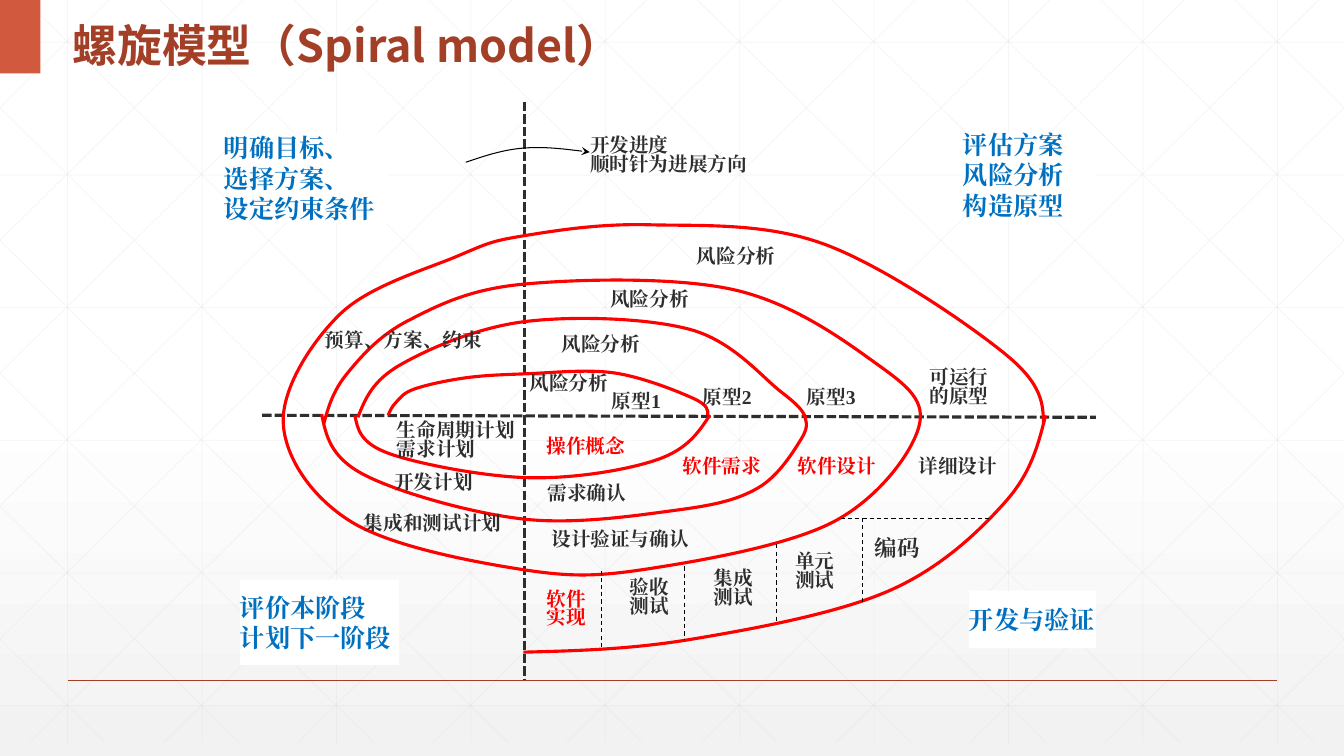
import lxml.etree
import pptx
import pptx.dml.color
import pptx.enum.dml
import pptx.enum.shapes
import pptx.enum.text
import pptx.oxml.ns
import pptx.util

Inches = pptx.util.Inches
ALIGN = pptx.enum.text.PP_ALIGN
DASH = pptx.enum.dml.MSO_LINE
qn = pptx.oxml.ns.qn

WIDTH, HEIGHT = 13.33, 7.5
BODY_FONT, TITLE_FONT = "Times New Roman", "Noto Sans CJK SC"
DARK, RED, BLUE, RUST = "2D2E2D", "FF0000", "0070C0", "A43F27"

# Points that each smooth turn of the spiral passes through
SPIRAL_TURNS = [
    [(3.85, 4.12), (3.93, 3.99), (4.11, 3.86), (4.61, 3.75), (5.2, 3.71), (6.09, 3.7),
     (6.87, 3.95), (7.02, 4.12)],
    [(7.04, 4.12), (6.52, 4.56), (5.25, 4.74), (3.86, 4.5), (3.52, 4.12)],
    [(3.55, 4.14), (3.97, 3.62), (5.21, 3.19), (6.85, 3.27), (7.75, 3.89), (7.99, 4.14)],
    [(7.97, 4.11), (7.95, 4.35), (7.52, 4.84), (6.72, 5.06), (5.19, 5.15), (3.61, 4.71), (3.19, 4.11)],
    [(3.21, 4.21), (3.44, 3.71), (4.05, 3.18), (5.18, 2.82), (7.26, 2.87), (8.64, 3.57),
     (9.12, 4.21), (8.28, 5.17), (6.45, 5.64), (5.18, 5.65), (3.49, 5.18), (2.81, 4.2),
     (3.38, 3.11), (4.54, 2.54), (5.19, 2.34), (6.44, 2.23), (8.17, 2.42), (9.98, 3.52), (10.35, 4.21)],
    [(10.37, 4.12), (9.97, 4.98), (8.82, 5.86), (6.87, 6.34), (5.19, 6.47)],
]
PROGRESS_ARROW = [(4.62, 1.61), (5.19, 1.47), (5.85, 1.51)]

# Text and centre of each label
DARK_LABELS = [
    ("生命周期计划\n需求计划", 4.56, 4.38), ("风险分析", 5.68, 3.82),
    ("原型1", 6.4, 4), ("原型2", 7.3, 3.96), ("原型3", 8.33, 3.96),
    ("可运行\n的原型", 9.55, 3.85), ("需求确认", 5.86, 4.91), ("集成和测试计划", 4.33, 5.21),
    ("风险分析", 7.34, 2.56), ("风险分析", 6.48, 2.98), ("风险分析", 6, 3.43),
    ("设计验证与确认", 6.19, 5.37), ("详细设计", 9.54, 4.64),
    ("单元\n测试", 8.12, 5.68), ("集成\n测试", 7.31, 5.85), ("验收\n测试", 6.48, 5.94),
    ("开发进度\n顺时针为进展方向", 6.67, 1.55), ("开发计划", 4.34, 4.8), ("预算、方案、约束", 4.04, 3.39),
]
RED_LABELS = [("操作概念", 5.85, 4.44), ("软件需求", 7.2, 4.64), ("软件设计", 8.34, 4.64)]
QUADRANTS = [
    ("明确目标、\n选择方案、\n设定约束条件", 2.22, 1.32, 1.63, 0.89),
    ("评估方案\n风险分析\n构造原型", 9.55, 1.33, 1.32, 0.81),
    ("开发与验证", 9.61, 5.86, 1.26, 0.57), ("评价本阶段\n计划下一阶段", 2.38, 5.75, 1.58, 0.85),
]
# Horizontal place, top and bottom of the lines between the last steps
DIVIDERS = [(8.55, 5.14, 5.97), (7.7, 5.4, 6.18), (6.79, 5.62, 6.35), (5.97, 5.66, 6.43)]


def rgb(value):
    return pptx.dml.color.RGBColor.from_string(value)


def add_line(slide, ends, color, width, dash=None, opacity=None):
    line = slide.shapes.add_connector(pptx.enum.shapes.MSO_CONNECTOR.STRAIGHT, *map(Inches, ends))
    line.line.color.rgb = rgb(color)
    line.line.width = pptx.util.Pt(width)
    if dash:
        line.line.dash_style = dash
    properties = line._element.spPr
    if opacity:
        color_element = next(properties.iter(qn("a:srgbClr")))
        lxml.etree.SubElement(color_element, qn("a:alpha")).set("val", str(opacity * 1000))
    lxml.etree.SubElement(properties, qn("a:effectLst"))


def between(start, end, share):
    return tuple(a + (b - a) * share for a, b in zip(start, end))


def smooth_points(anchors):
    """Return the start, then two control points and an end for each segment."""
    before, after = {}, {}
    for i in range(1, len(anchors) - 1):
        tangent = [(b - a) / 6 for a, b in zip(anchors[i - 1], anchors[i + 1])]
        before[i] = tuple(p - t for p, t in zip(anchors[i], tangent))
        after[i] = tuple(p + t for p, t in zip(anchors[i], tangent))
    last = len(anchors) - 1
    after[0] = between(anchors[0], before[1], 0.5)
    before[last] = between(anchors[last], after[last - 1], 0.5)
    points = [anchors[0]]
    for i in range(last):
        points += [after[i], before[i + 1], anchors[i + 1]]
    return points


def add_curve(slide, anchors, color, width, arrow=False):
    points = [(Inches(x), Inches(y)) for x, y in smooth_points(anchors)]
    builder = slide.shapes.build_freeform(*points[0])
    builder.add_line_segments(points[1:], close=False)
    shape = builder.convert_to_shape()
    shape.fill.background()
    shape.shadow.inherit = False
    shape.line.color.rgb = rgb(color)
    shape.line.width = pptx.util.Pt(width)
    # Join every three line segments into one cubic segment
    outline = next(shape._element.iter(qn("a:path")))
    segments = outline.findall(qn("a:lnTo"))
    for start in range(0, len(segments), 3):
        cubic = lxml.etree.SubElement(outline, qn("a:cubicBezTo"))
        for segment in segments[start:start + 3]:
            cubic.append(segment[0])
            outline.remove(segment)
    if arrow:
        line_element = shape._element.spPr.find(qn("a:ln"))
        lxml.etree.SubElement(line_element, qn("a:tailEnd")).set("type", "stealth")


def add_box(slide, box, fill):
    shape = slide.shapes.add_shape(pptx.enum.shapes.MSO_SHAPE.RECTANGLE, *map(Inches, box))
    shape.shadow.inherit = False
    shape.fill.solid()
    shape.fill.fore_color.rgb = rgb(fill)
    shape.line.fill.background()
    return shape


def write_text(shape, text, size, color, font=BODY_FONT, spacing=None, align=ALIGN.LEFT,
               wrap=False, margin=0):
    frame = shape.text_frame
    frame.text = text
    frame.word_wrap = wrap
    frame.vertical_anchor = pptx.enum.text.MSO_ANCHOR.MIDDLE
    frame.margin_left = frame.margin_right = Inches(margin)
    frame.margin_top = frame.margin_bottom = 0
    for paragraph in frame.paragraphs:
        paragraph.alignment = align
        if spacing:
            paragraph.line_spacing = spacing
        paragraph.font.size = pptx.util.Pt(size)
        paragraph.font.bold = True
        paragraph.font.color.rgb = rgb(color)
        paragraph.font.name = font
        # East Asian typeface
        defaults = next(paragraph._p.iter(qn("a:defRPr")))
        lxml.etree.SubElement(defaults, qn("a:ea")).set("typeface", font)


def add_label(slide, text, center_x, center_y, color, size=14):
    lines = text.split("\n")
    width = max(map(len, lines)) * size / 72 + 0.08
    height = 0.23 * len(lines)
    box = (center_x - width / 2, center_y - height / 2, width, height)
    label = slide.shapes.add_textbox(*map(Inches, box))
    write_text(label, text, size, color, spacing=0.8, align=ALIGN.JUSTIFY)


def add_background(slide):
    fill = slide.background.fill
    fill.gradient()
    fill.gradient_angle = 270
    for stop, position, color in zip(fill.gradient_stops, (0.53, 1), ("FFFFFF", "F2F2F2")):
        stop.position = position
        stop.color.rgb = rgb(color)
    # Faint grid, with diagonals cut off at the slide edges
    bottom, run, step = 7.37, 7.46, 4 / 3
    grid = [(0.67 + step * i, 0, 0.67 + step * i, bottom) for i in range(10)]
    grid += [(0, 0.42 + 1.316 * i, WIDTH, 0.42 + 1.316 * i) for i in range(6)]
    for i in range(-5, 10):
        top_x = 0.25 + step * i
        left, right = max(top_x, 0), min(top_x + run, WIDTH)
        top_y, end_y = [(x - top_x) * bottom / run for x in (left, right)]
        grid += [(left, top_y, right, end_y), (WIDTH - left, top_y, WIDTH - right, end_y)]
    for ends in grid:
        add_line(slide, ends, "D9D9D9", 0.5, opacity=25)


def main():
    presentation = pptx.Presentation()
    presentation.slide_width, presentation.slide_height = Inches(WIDTH), Inches(HEIGHT)
    slide = presentation.slides.add_slide(presentation.slide_layouts[6])

    # Frame and title
    add_background(slide)
    add_line(slide, (0.67, 6.75, 12.67, 6.75), RUST, 1)
    add_box(slide, (0, 0, 0.4, 0.73), "D15A3E")
    title = slide.shapes.add_textbox(*map(Inches, (0.62, 0, 8.91, 0.73)))
    write_text(title, "螺旋模型（Spiral model）", 32, RUST, TITLE_FONT, 1.3, wrap=True, margin=0.1)

    # Axes and spiral
    for axis in [(2.6, 4.12, 10.87, 4.14), (5.2, 1.01, 5.2, 6.75)]:
        add_line(slide, axis, DARK, 2.25, DASH.SQUARE_DOT)
    for turn in SPIRAL_TURNS:
        add_curve(slide, turn, RED, 2.25)
    add_curve(slide, PROGRESS_ARROW, "000000", 0.75, arrow=True)
    for ends in [(8.34, 5.14, 9.82, 5.14)] + [(x, top, x, end) for x, top, end in DIVIDERS]:
        add_line(slide, ends, "000000", 0.75, DASH.DASH)

    # Quadrant headings
    for text, *box in QUADRANTS:
        write_text(add_box(slide, box, "FFFFFF"), text, 18, BLUE)

    # Activity labels
    for labels, color in ((DARK_LABELS, DARK), (RED_LABELS, RED)):
        for text, x, y in labels:
            add_label(slide, text, x, y, color)
    add_label(slide, "编码", 8.94, 5.46, DARK, size=16)
    wrapped = slide.shapes.add_textbox(*map(Inches, (5.33, 5.75, 0.57, 0.6)))
    write_text(wrapped, "软件实现", 14, RED, spacing=0.8, align=ALIGN.CENTER, wrap=True)

    presentation.save("out.pptx")


if __name__ == "__main__":
    main()
